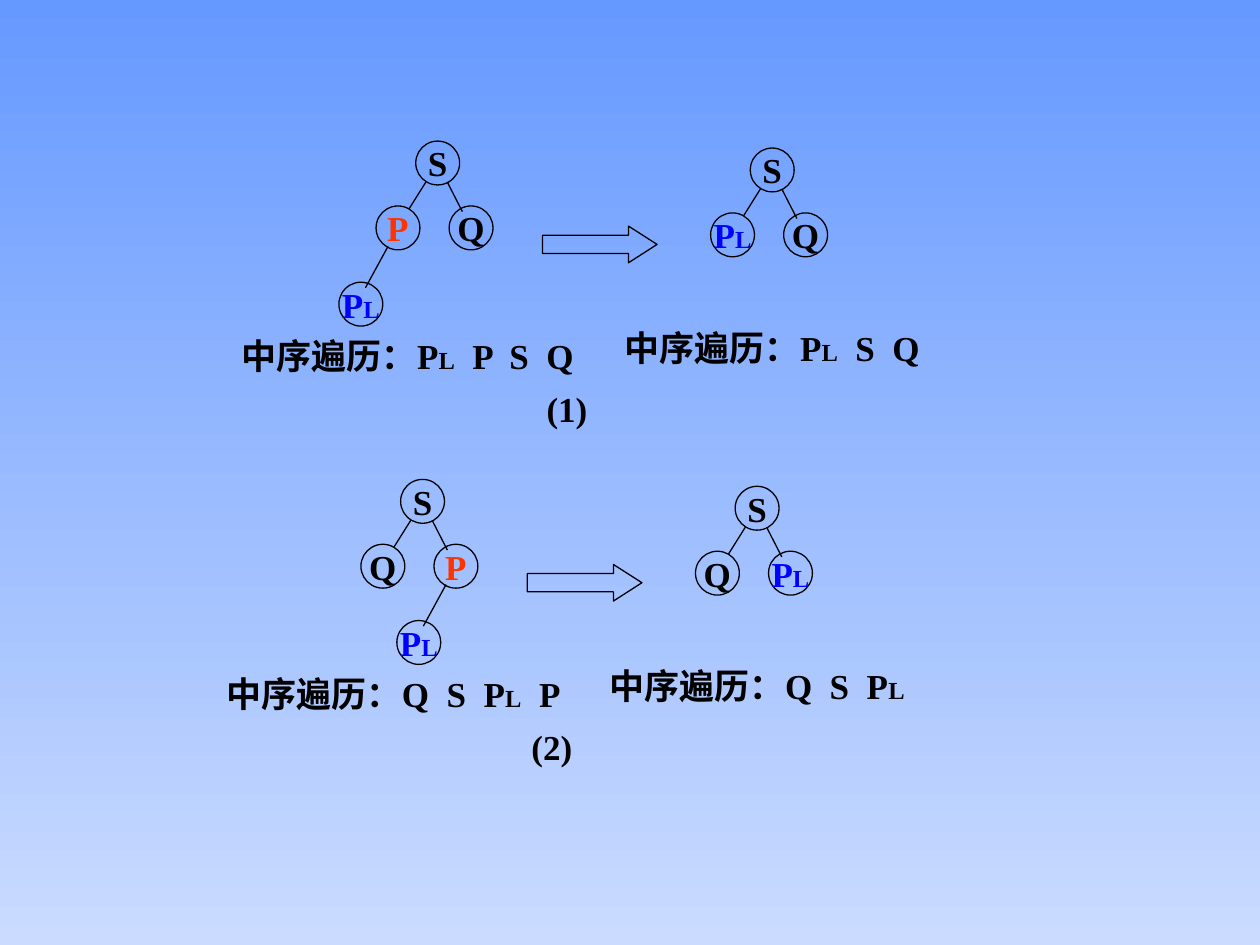
from dataclasses import dataclass

from lxml import etree
from pptx import Presentation
from pptx.dml.color import RGBColor
from pptx.enum.shapes import MSO_CONNECTOR, MSO_SHAPE
from pptx.enum.text import MSO_ANCHOR, MSO_AUTO_SIZE, PP_ALIGN
from pptx.oxml.ns import qn
from pptx.util import Inches, Pt

ELLIPSE, RIGHT_ARROW = MSO_SHAPE.OVAL, MSO_SHAPE.RIGHT_ARROW
STRAIGHT = MSO_CONNECTOR.STRAIGHT
MIDDLE = MSO_ANCHOR.MIDDLE
LEFT, CENTER = PP_ALIGN.LEFT, PP_ALIGN.CENTER
FIXED = MSO_AUTO_SIZE.NONE
BLANK_LAYOUT = 6
COLUMNS, ROWS = 100, 75


@dataclass(frozen=True)
class Theme:
    font: str = "Times New Roman"
    size: int = 20
    subscript_size: int = 14
    line_width: float = 0.75
    ink: str = "000000"
    removed: str = "FF3300"
    child: str = "0000FF"
    sky_top: str = "6699FF"
    sky_bottom: str = "CADBFF"


def rgb(value):
    return RGBColor.from_string(value)


def write_text(shape, text, theme, color, align=CENTER):
    frame = shape.text_frame
    frame.word_wrap = False
    frame.auto_size = FIXED
    frame.vertical_anchor = MIDDLE
    paragraph = frame.paragraphs[0]
    paragraph.alignment = align
    for piece in filter(None, text.partition("L")):
        run = paragraph.add_run()
        run.text = piece
        run.font.name = theme.font
        run.font.size = Pt(theme.subscript_size if piece == "L" else theme.size)
        run.font.bold = True
        run.font.color.rgb = rgb(color)


class Diagram:
    NODE = 3.48
    LEFT_CHILD, RIGHT_CHILD = (-3.15, 5.15), (2.65, 5.15)
    LEFT_EDGE = ((0.8, 3.25), (-0.55, 5.4))
    RIGHT_EDGE = ((2.5, 3.25), (3.7, 5.6))
    GRANDCHILD = (-2.95, 6.05)
    GRANDCHILD_EDGE = ((0.95, 3.2), (-0.85, 6.5))

    def __init__(self, presentation, theme):
        self.theme = theme
        self.column = presentation.slide_width / COLUMNS
        self.row = presentation.slide_height / ROWS
        self.slide = presentation.slides.add_slide(presentation.slide_layouts[BLANK_LAYOUT])
        self.shapes = self.slide.shapes

    def background(self):
        fill = self.slide.background.fill
        fill.gradient()
        fill.gradient_angle = 270
        for stop, color in zip(fill.gradient_stops, (self.theme.sky_top, self.theme.sky_bottom)):
            stop.color.rgb = rgb(color)

    def start_group(self):
        self.shapes = self.slide.shapes.add_group_shape().shapes

    def place(self, x, y, width=0, height=0):
        return (round(x * self.column), round(y * self.row),
                round(width * self.column), round(height * self.row))

    def outline(self, line):
        line.color.rgb = rgb(self.theme.ink)
        line.width = Pt(self.theme.line_width)

    def shape(self, kind, x, y, width, height):
        shape = self.shapes.add_shape(kind, *self.place(x, y, width, height))
        shape.shadow.inherit = False
        shape.fill.background()
        self.outline(shape.line)
        return shape

    def node(self, x, y, label, color):
        circle = self.shape(ELLIPSE, x, y, self.NODE, self.NODE)
        write_text(circle, label, self.theme, color)

    def edge(self, x, y, ends):
        start, end = (self.place(x + dx, y + dy)[:2] for dx, dy in ends)
        connector = self.shapes.add_connector(STRAIGHT, *start, *end)
        self.outline(connector.line)
        etree.SubElement(connector._element.spPr, qn("a:effectLst"))

    def arrow(self, x, y):
        arrow = self.shape(RIGHT_ARROW, x, y, 9.1, 2.9)
        arrow.adjustments[1] = 0.78

    def caption(self, x, y, width, text, align=LEFT):
        box = self.shapes.add_textbox(*self.place(x, y, width, 4.4))
        write_text(box, text, self.theme, self.theme.ink, align=align)

    def tree(self, x, y, children):
        colors = {"P": self.theme.removed, "PL": self.theme.child}
        self.node(x, y, "S", self.theme.ink)
        branches = ((self.LEFT_CHILD, self.LEFT_EDGE), (self.RIGHT_CHILD, self.RIGHT_EDGE))
        for label, ((dx, dy), ends) in zip(children, branches):
            child_x, child_y = x + dx, y + dy
            self.node(child_x, child_y, label, colors.get(label, self.theme.ink))
            self.edge(x, y, ends)
            if label == "P":
                below_x, below_y = self.GRANDCHILD
                self.node(child_x + below_x, child_y + below_y, "PL", self.theme.child)
                self.edge(child_x, child_y, self.GRANDCHILD_EDGE)

    def deletion_case(self, x, y, number, before, after, order_before, order_after):
        self.start_group()
        self.tree(x, y, before)
        self.caption(x - 14.8, y + 14.8, 29.1, f"中序遍历：{order_before}")
        self.tree(x + 26.55, y + 0.55, after)
        self.caption(x + 15.6, y + 14.15, 26.1, f"中序遍历：{order_after}")
        self.arrow(x + 10.05, y + 6.75)
        self.caption(x + 9.4, y + 19, 5.2, f"({number})", align=CENTER)


def main():
    presentation = Presentation()
    presentation.slide_width, presentation.slide_height = Inches(10), Inches(7.5)
    diagram = Diagram(presentation, Theme())
    diagram.background()
    diagram.deletion_case(31.8, 38.05, 2, ("Q", "P"), ("Q", "PL"), "Q  S  PL  P", "Q  S  PL")
    diagram.deletion_case(33, 11.2, 1, ("P", "Q"), ("PL", "Q"), "PL  P  S  Q", "PL  S  Q")
    presentation.save("out.pptx")


if __name__ == "__main__":
    main()
